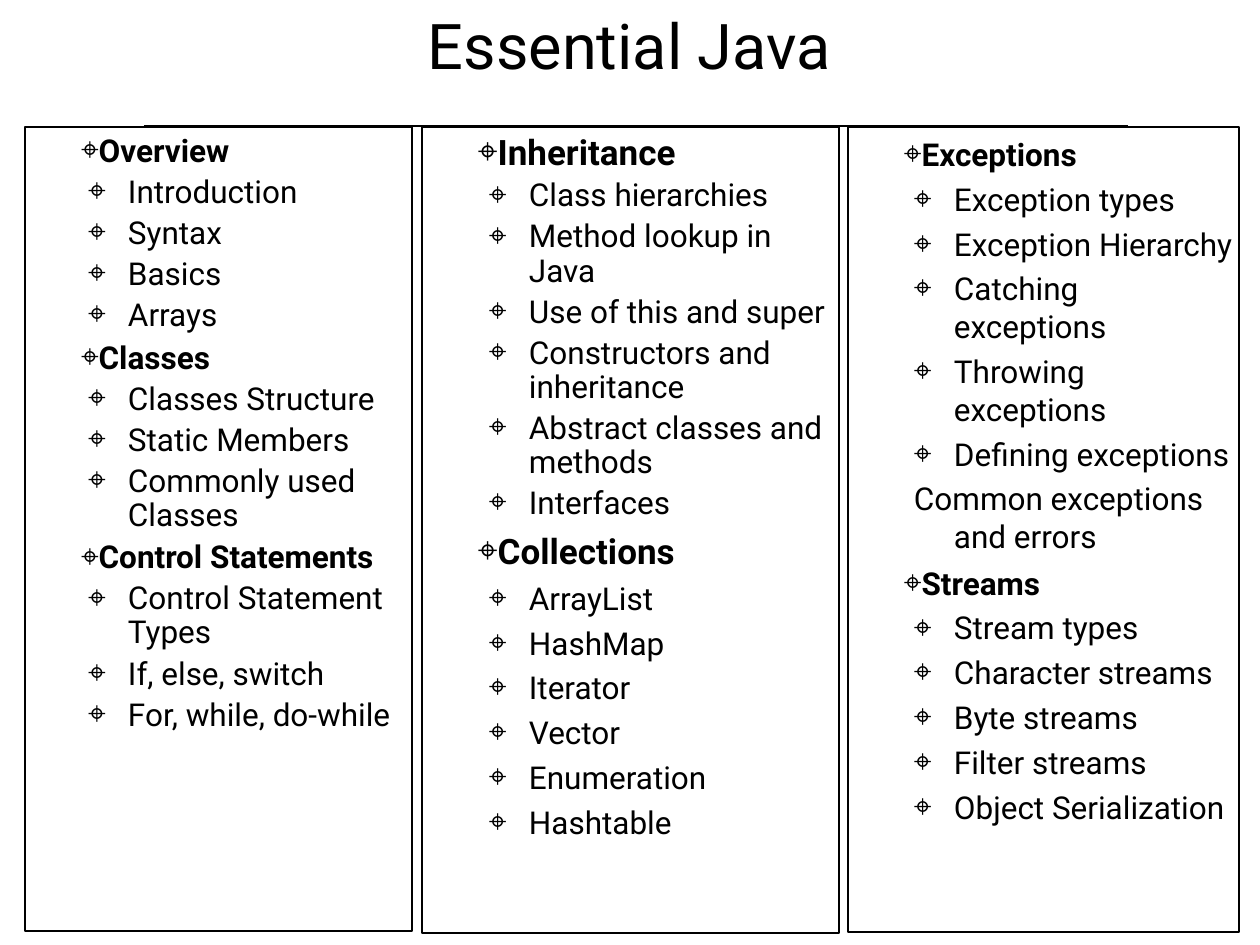
from lxml.etree import SubElement
from pptx import Presentation
from pptx.dml.color import RGBColor
from pptx.enum.shapes import MSO_CONNECTOR, MSO_SHAPE
from pptx.enum.text import MSO_ANCHOR, MSO_AUTO_SIZE, PP_ALIGN
from pptx.oxml.ns import qn
from pptx.util import Emu, Pt

# Content: each section is (heading, line spacing, topics)
TITLE = "Essential Java"
UNBULLETED = {"Common exceptions and errors"}
COLUMNS = [
    dict(left=25, width=387, height=804, text_width=387, text_height=738,
         indent=95, heading_size=18, sections=[
             ("Overview", 0.9, ["Introduction", "Syntax", "Basics", "Arrays"]),
             ("Classes", 0.9, ["Classes Structure", "Static Members",
                               "Commonly used Classes"]),
             ("Control Statements", 0.9, ["Control Statement Types",
                                          "If, else, switch",
                                          "For, while, do-while"]),
         ]),
    dict(left=422, width=417, height=806, text_width=416, text_height=818,
         indent=99, heading_size=20, sections=[
             ("Inheritance", 0.9, ["Class hierarchies", "Method lookup in Java",
                                   "Use of this and super",
                                   "Constructors and inheritance",
                                   "Abstract classes and methods",
                                   "Interfaces"]),
             ("Collections", 1.0, ["ArrayList", "HashMap", "Iterator", "Vector",
                                   "Enumeration", "Hashtable"]),
         ]),
    dict(left=848, width=391, height=805, text_width=393, text_height=883,
         indent=98, heading_size=18, sections=[
             ("Exceptions", 1.0, ["Exception types", "Exception Hierarchy",
                                  "Catching exceptions", "Throwing exceptions",
                                  "Defining exceptions",
                                  "Common exceptions and errors"]),
             ("Streams", 1.0, ["Stream types", "Character streams",
                               "Byte streams", "Filter streams",
                               "Object Serialization"]),
         ]),
]

THEME = dict(font="Roboto", ink="000000", title=36, topic=18, line=0.75,
             bullet="⌖")
INK = RGBColor.from_string(THEME["ink"])
COLUMN_TOP, INSET, HANG, HEADING_INDENT = 127, 8, -40, 48


def px(n):
    return Emu(round(n * 914400 / 126))


def set_frame(tf, **values):
    values = dict(word_wrap=True, **values)
    for side in ("left", "top", "right", "bottom"):
        values[f"margin_{side}"] = px(INSET)
    for name, value in values.items():
        setattr(tf, name, value)


def add_text(p, text, size, bold=False):
    r = p.add_run()
    r.text = text
    for name, value in dict(name=THEME["font"], size=Pt(size), bold=bold).items():
        setattr(r.font, name, value)
    r.font.color.rgb = INK


def set_outline(s):
    s.line.color.rgb = INK
    s.line.width = Pt(THEME["line"])


def set_bullet(p, margin, indent, bulleted):
    pPr = p._p.get_or_add_pPr()
    pPr.set("marL", str(px(margin)))
    pPr.set("indent", str(px(indent)))
    if bulleted:
        color = SubElement(pPr, qn("a:buClr"))
        SubElement(color, qn("a:srgbClr"), val=THEME["ink"])
        SubElement(pPr, qn("a:buFont"), typeface=THEME["font"])
        SubElement(pPr, qn("a:buChar"), char=THEME["bullet"])
    else:
        SubElement(pPr, qn("a:buNone"))


def column_lines(col):
    """Yield text, paragraph format, size, bold and bullet placement."""
    for heading, spacing, topics in col["sections"]:
        yield (heading, dict(level=1, line_spacing=spacing, space_before=Pt(5)),
               col["heading_size"], True, (0, HEADING_INDENT, True))
        for topic in topics:
            yield (topic, dict(line_spacing=spacing, space_before=Pt(4)),
                   THEME["topic"], False,
                   (col["indent"], HANG, topic not in UNBULLETED))


def add_column(slide, col):
    group = slide.shapes.add_group_shape()
    left, top = px(col["left"]), px(COLUMN_TOP)
    frame = group.shapes.add_shape(MSO_SHAPE.RECTANGLE, left, top,
                                   px(col["width"]), px(col["height"]))
    frame.shadow.inherit = False
    frame.fill.background()
    set_outline(frame)

    box = group.shapes.add_textbox(left, top, px(col["text_width"]),
                                   px(col["text_height"]))
    tf = box.text_frame
    set_frame(tf, vertical_anchor=MSO_ANCHOR.TOP)
    for i, (text, fmt, size, bold, bullet) in enumerate(column_lines(col)):
        p = tf.add_paragraph() if i else tf.paragraphs[0]
        for name, value in fmt.items():
            setattr(p, name, value)
        set_bullet(p, *bullet)
        add_text(p, text, size, bold)


def main():
    prs = Presentation()
    prs.slide_width, prs.slide_height = px(1260), px(945)
    slide = prs.slides.add_slide(prs.slide_layouts[5])

    # Title
    title = slide.shapes.title
    title.left, title.top, title.width, title.height = map(px, (62, 0, 1135, 89))
    set_frame(title.text_frame, vertical_anchor=MSO_ANCHOR.MIDDLE,
              auto_size=MSO_AUTO_SIZE.SHAPE_TO_FIT_TEXT)
    p = title.text_frame.paragraphs[0]
    p.alignment = PP_ALIGN.CENTER
    add_text(p, TITLE, THEME["title"])

    # Rule under the title
    rule = slide.shapes.add_connector(MSO_CONNECTOR.STRAIGHT,
                                      px(144), px(126), px(1128), px(126))
    set_outline(rule)
    SubElement(rule._element.spPr, qn("a:effectLst"))

    # Topic columns
    for col in COLUMNS:
        add_column(slide, col)

    prs.save("out.pptx")


if __name__ == "__main__":
    main()
